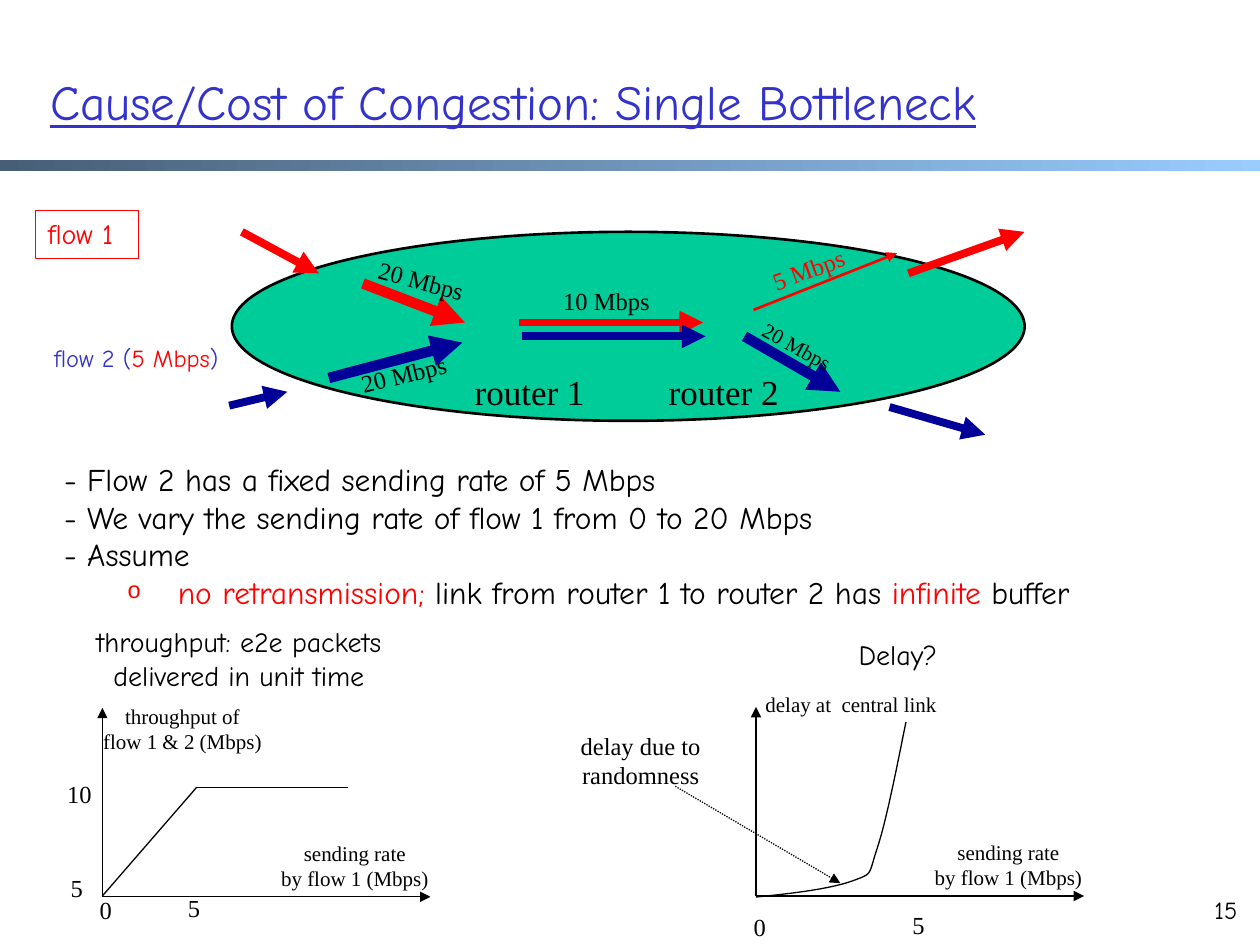
from lxml.etree import SubElement
from pptx import Presentation
from pptx.dml.color import RGBColor
from pptx.enum.dml import MSO_LINE
from pptx.enum.shapes import MSO_CONNECTOR, MSO_SHAPE
from pptx.enum.text import MSO_ANCHOR, MSO_AUTO_SIZE, PP_ALIGN
from pptx.oxml.ns import qn
from pptx.util import Pt

rgb = RGBColor.from_string
RED, NAVY, BLUE, GREEN, BLACK = "FF0000", "000099", "3333CC", "00CC99", "000000"
COMIC, TIMES = "Comic Neue", "Times New Roman"

presentation = Presentation()
presentation.slide_width, presentation.slide_height = Pt(720), Pt(540)
slide = presentation.slides.add_slide(presentation.slide_layouts[5])
shapes = slide.shapes


def add_text(text, left, top, width, height, size=14, font=TIMES, color=BLACK,
             align=PP_ALIGN.CENTER, wrap=False, rotation=0, shape=None):
    """Fill a shape, or a new text box; a paragraph is a string or (text, colour) runs."""
    if shape is None:
        shape = shapes.add_textbox(0, 0, 0, 0)
    frame = shape.text_frame
    frame.word_wrap = wrap
    frame.auto_size = MSO_AUTO_SIZE.NONE
    paragraphs = text.split("\n") if isinstance(text, str) else text
    for index, content in enumerate(paragraphs):
        paragraph = frame.add_paragraph() if index else frame.paragraphs[0]
        paragraph.alignment = align
        runs = [(content, color)] if isinstance(content, str) else content
        for run_text, run_color in runs:
            run = paragraph.add_run()
            run.text = run_text
            run.font.size, run.font.name = Pt(size), font
            run.font.color.rgb = rgb(run_color)
    shape.left, shape.top, shape.width, shape.height = map(Pt, (left, top, width, height))
    shape.rotation = rotation
    return shape


def add_line(x1, y1, x2, y2, color=BLACK, weight=0.75, arrow=True, dash=None):
    line = shapes.add_connector(MSO_CONNECTOR.STRAIGHT, Pt(x1), Pt(y1), Pt(x2), Pt(y2))
    line.line.color.rgb = rgb(color)
    line.line.width = Pt(weight)
    if dash:
        line.line.dash_style = dash
    properties = line._element.spPr
    if arrow:
        SubElement(properties.find(qn("a:ln")), qn("a:tailEnd"), type="triangle")
    SubElement(properties, qn("a:effectLst"))


# Title and the bar below it
title = add_text("Cause/Cost of Congestion: Single Bottleneck", 21.6, 33, 612, 49, size=28,
                 font=COMIC, color=BLUE, align=PP_ALIGN.LEFT, wrap=True, shape=shapes.title)
title.text_frame.vertical_anchor = MSO_ANCHOR.MIDDLE
title.text_frame.paragraphs[0].runs[0].font.underline = True

bar = shapes.add_shape(MSO_SHAPE.RECTANGLE, 0, Pt(91.7), Pt(720), Pt(5.8))
bar.shadow.inherit = False
bar.line.fill.background()
bar.fill.gradient()
bar.fill.gradient_angle = 0
for stop, color in zip(bar.fill.gradient_stops, ("475E76", "99CCFF")):
    stop.color.rgb = rgb(color)

# Network with two routers
network = shapes.add_shape(MSO_SHAPE.OVAL, Pt(132.5), Pt(132.5), Pt(453), Pt(108))
network.shadow.inherit = False
network.fill.solid()
network.fill.fore_color.rgb = rgb(GREEN)
network.line.color.rgb = rgb(BLACK)
network.line.width = Pt(1.5)

flow_1 = add_text("flow 1", 20.2, 120.2, 59, 27.4, size=16, font=COMIC, color=RED,
                  align=PP_ALIGN.LEFT)
flow_1.line.color.rgb = rgb(RED)
flow_1.line.width = Pt(0.75)
add_text([[("flow 2 (", BLUE), ("5 Mbps", RED), (")", BLUE)]], 23.8, 192.2, 117.4, 24,
         font=COMIC, align=PP_ALIGN.LEFT)

for x1, y1, x2, y2, color, weight in (
    (138.2, 132.5, 182.2, 156.2, RED, 4.5),
    (207.4, 162, 265.7, 184.3, RED, 6),
    (296.6, 184.3, 401.8, 184.3, RED, 4.5),
    (430.6, 177.1, 512.6, 144.7, RED, 1.5),
    (519.1, 156.2, 585.4, 132.5, RED, 4.5),
    (131, 231.8, 164.2, 223.9, NAVY, 4.5),
    (187.9, 216, 264.2, 195.8, NAVY, 6),
    (298.1, 192.2, 403.2, 192.2, NAVY, 4.5),
    (425.5, 192.2, 480.2, 223.9, NAVY, 6),
    (508.3, 232.6, 563, 248.4, NAVY, 4.5),
):
    add_line(x1, y1, x2, y2, color, weight)

for text, left, top, width, height, size, color, rotation in (
    ("router 1", 264.2, 208.1, 77, 31, 20, BLACK, 0),
    ("router 2", 375.1, 208.1, 77, 31, 20, BLACK, 0),
    ("20 Mbps", 208.8, 148.3, 64, 24, 14, BLACK, 15),
    ("20 Mbps", 198.7, 201.6, 64, 24, 14, BLACK, 346),
    ("10 Mbps", 314.6, 159.8, 64, 24, 14, BLACK, 0),
    ("5 Mbps", 433.4, 141.8, 57, 24, 14, RED, 340),
    ("20 Mbps", 427, 187.2, 57, 21.6, 12, BLACK, 29),
):
    add_text(text, left, top, width, height, size=size, color=color, rotation=rotation)

# Assumptions
assumptions = add_text(
    ["- Flow 2 has a fixed sending rate of 5 Mbps",
     "- We vary the sending rate of flow 1 from 0 to 20 Mbps",
     "- Assume",
     [("no retransmission;", RED), (" link from router 1 to router 2 has ", BLACK),
      ("infinite", RED), (" buffer", BLACK)]],
    29.5, 259.2, 658, 94.3, size=18, font=COMIC, align=PP_ALIGN.LEFT, wrap=True)
sub_point = assumptions.text_frame.paragraphs[-1]
sub_point.level = 1
bullet_properties = sub_point._p.get_or_add_pPr()
bullet_properties.set("marL", str(Pt(65)))
bullet_properties.set("indent", str(Pt(-29)))
SubElement(bullet_properties, qn("a:buSzPct"), val="75000")
SubElement(bullet_properties, qn("a:buFont"), typeface="Courier New")
SubElement(bullet_properties, qn("a:buChar"), char="o")

# Plots of throughput and delay
add_text("throughput: e2e packets delivered in unit time", 36, 353.5, 201, 46, size=16,
         font=COMIC, wrap=True)
add_text("Delay?", 412.6, 360.7, 201, 26.6, size=16, font=COMIC, wrap=True)

for origin_x, origin_y in ((58.5, 512.5), (432, 512)):
    add_line(origin_x, origin_y, origin_x + 187.5, origin_y)
    add_line(origin_x, origin_y, origin_x, origin_y - 108)
    add_text("sending rate\nby flow 1 (Mbps)", origin_x + 95, origin_y - 36, 98.6, 36, size=12)

add_text("throughput of\nflow 1 & 2 (Mbps)", 51.8, 398.2, 105, 36, size=12)
add_text("delay at  central link", 427.7, 391.7, 117.4, 21.6, size=12)
for text, left, top, width in (
    ("5", 33.1, 495.4, 21.6), ("10", 31, 441.4, 28.8),
    ("0", 49.7, 507.6, 21.6), ("5", 100.1, 506.9, 21.6),
    ("0", 423.4, 517.7, 21.6), ("5", 514.1, 516.2, 21.6),
):
    add_text(text, left, top, width, 24)

add_line(58.5, 512, 112.3, 450, arrow=False)
add_line(112.3, 450, 198.7, 450, arrow=False)

# The delay curve is three cubic Bézier segments, sampled in short steps
controls = [(432, 512.6), (454.3, 510.5), (475.9, 507.6), (487.4, 503.3), (499, 499),
            (496.1, 500.4), (501.1, 485.3), (506.2, 470.2), (511.9, 441.4), (517.7, 412.6)]
steps = 12
curve_points = []
for first in range(0, 9, 3):
    for step in range(1, steps + 1):
        t = step / steps
        weights = ((1 - t) ** 3, 3 * t * (1 - t) ** 2, 3 * t ** 2 * (1 - t), t ** 3)
        segment = controls[first:first + 4]
        curve_points.append(tuple(
            Pt(sum(weight * point[axis] for weight, point in zip(weights, segment)))
            for axis in (0, 1)))
builder = shapes.build_freeform(Pt(controls[0][0]), Pt(controls[0][1]))
builder.add_line_segments(curve_points, close=False)
delay_curve = builder.convert_to_shape()
delay_curve.shadow.inherit = False
delay_curve.fill.background()
delay_curve.line.color.rgb = rgb(BLACK)
delay_curve.line.width = Pt(0.75)

add_text("delay due to\nrandomness", 324.7, 414, 82.8, 41)
add_line(385.9, 449.3, 480.2, 504.7, dash=MSO_LINE.ROUND_DOT)

# Slide number
add_text("15", 681.1, 507.6, 33.1, 27.4, font=COMIC, align=PP_ALIGN.RIGHT, wrap=True)

presentation.save("out.pptx")
